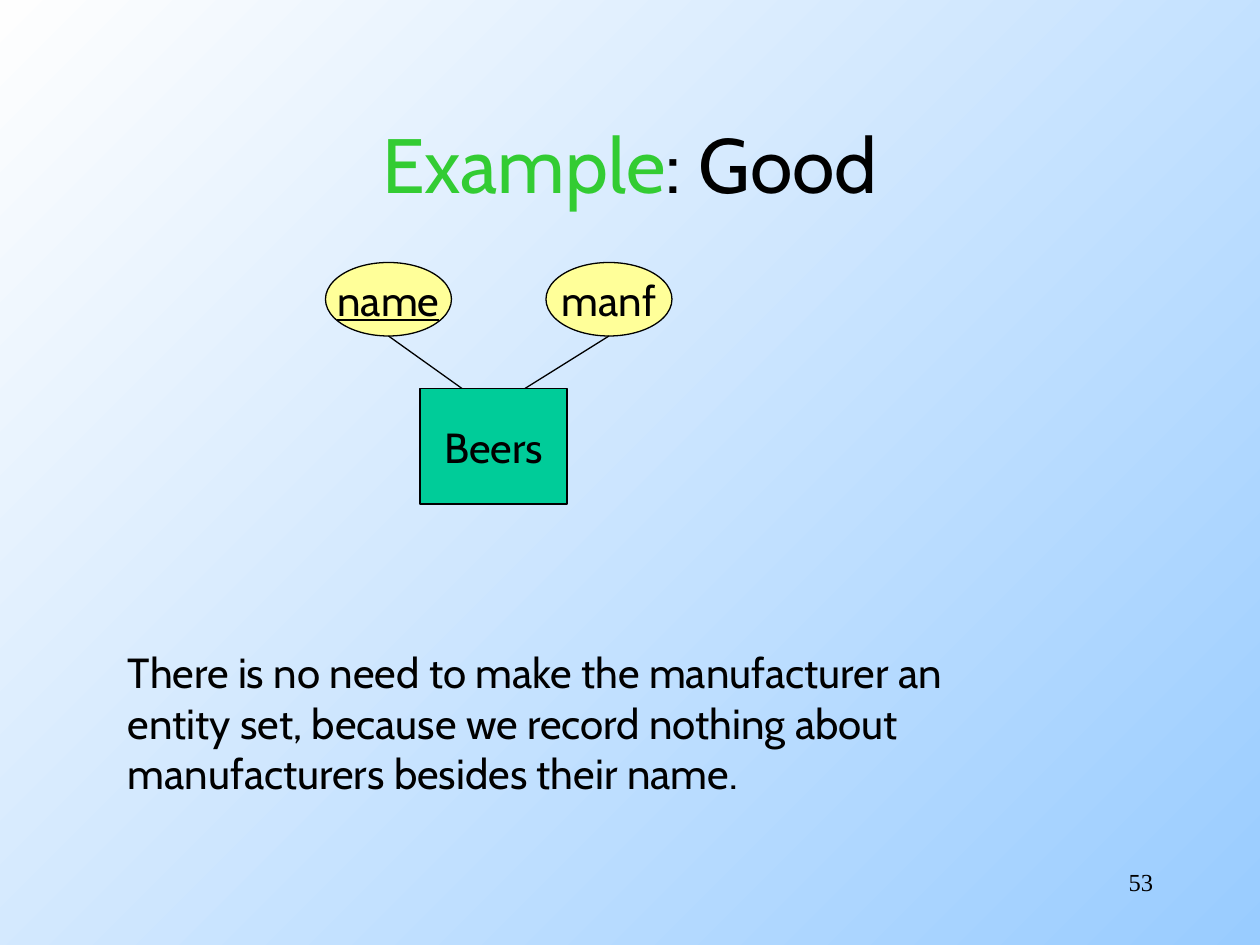
from lxml.etree import SubElement
from pptx import Presentation
from pptx.dml.color import RGBColor
from pptx.enum.shapes import MSO_CONNECTOR, MSO_SHAPE
from pptx.enum.text import MSO_ANCHOR, PP_ALIGN
from pptx.oxml.ns import qn
from pptx.util import Inches, Pt

BLACK = RGBColor(0x00, 0x00, 0x00)
GREEN = RGBColor(0x33, 0xCC, 0x33)
TEAL = RGBColor(0x00, 0xCC, 0x99)
YELLOW = RGBColor(0xFF, 0xFF, 0x99)
SKY = RGBColor(0x99, 0xCC, 0xFF)
WHITE = RGBColor(0xFE, 0xFE, 0xFE)

presentation = Presentation()
presentation.slide_width = Inches(10)
presentation.slide_height = Inches(7.5)
COLUMN = presentation.slide_width / 120
ROW = presentation.slide_height / 90


def grid(left, top, width, height):
    return [round(left * COLUMN), round(top * ROW), round(width * COLUMN), round(height * ROW)]


def add_text(paragraph, text, size=24, color=BLACK, font="Cabin", underline=None):
    run = paragraph.add_run()
    run.text = text
    run.font.name = font
    run.font.size = Pt(size)
    run.font.color.rgb = color
    run.font.underline = underline


slide = presentation.slides.add_slide(presentation.slide_layouts[5])
background = slide.background.fill
background.gradient()
background.gradient_angle = 135
for stop, color in zip(background.gradient_stops, (SKY, WHITE)):
    stop.color.rgb = color

title = slide.shapes.title
title.left, title.top, title.width, title.height = grid(9, 8, 102, 15)
title.text_frame.vertical_anchor = MSO_ANCHOR.MIDDLE
heading = title.text_frame.paragraphs[0]
heading.alignment = PP_ALIGN.CENTER
add_text(heading, "Example", 44, GREEN)
add_text(heading, ": Good", 44)

diagram = [
    ("Beers", MSO_SHAPE.RECTANGLE, TEAL, (40, 37, 14, 11), None),
    ("name", MSO_SHAPE.OVAL, YELLOW, (31, 25, 12, 7), True),
    ("manf", MSO_SHAPE.OVAL, YELLOW, (52, 25, 12, 7), None),
]
for label, kind, color, place, underline in diagram:
    shape = slide.shapes.add_shape(kind, *grid(*place))
    shape.shadow.inherit = False
    shape.fill.solid()
    shape.fill.fore_color.rgb = color
    shape.line.color.rgb = BLACK
    shape.line.width = Pt(0.75)
    shape.text_frame.word_wrap = False
    shape.text_frame.vertical_anchor = MSO_ANCHOR.MIDDLE
    paragraph = shape.text_frame.paragraphs[0]
    paragraph.alignment = PP_ALIGN.CENTER
    add_text(paragraph, label, underline=underline)

for ends in ((37, 32, 44, 37), (58, 32, 50, 37)):
    connector = slide.shapes.add_connector(MSO_CONNECTOR.STRAIGHT, *grid(*ends))
    connector.line.color.rgb = BLACK
    connector.line.width = Pt(0.75)
    SubElement(connector.element.spPr, qn("a:effectLst"))

explanation = slide.shapes.add_textbox(*grid(11, 61, 90.25, 15.6))
explanation.text_frame.word_wrap = True
add_text(
    explanation.text_frame.paragraphs[0],
    "There is no need to make the manufacturer an entity set, "
    "because we record nothing about manufacturers besides their name.",
)

page_number = slide.shapes.add_textbox(*grid(86, 82, 25, 6))
page_number.text_frame.word_wrap = True
page_paragraph = page_number.text_frame.paragraphs[0]
page_paragraph.alignment = PP_ALIGN.RIGHT
add_text(page_paragraph, "53", 14, font="Times New Roman")

presentation.save("out.pptx")
